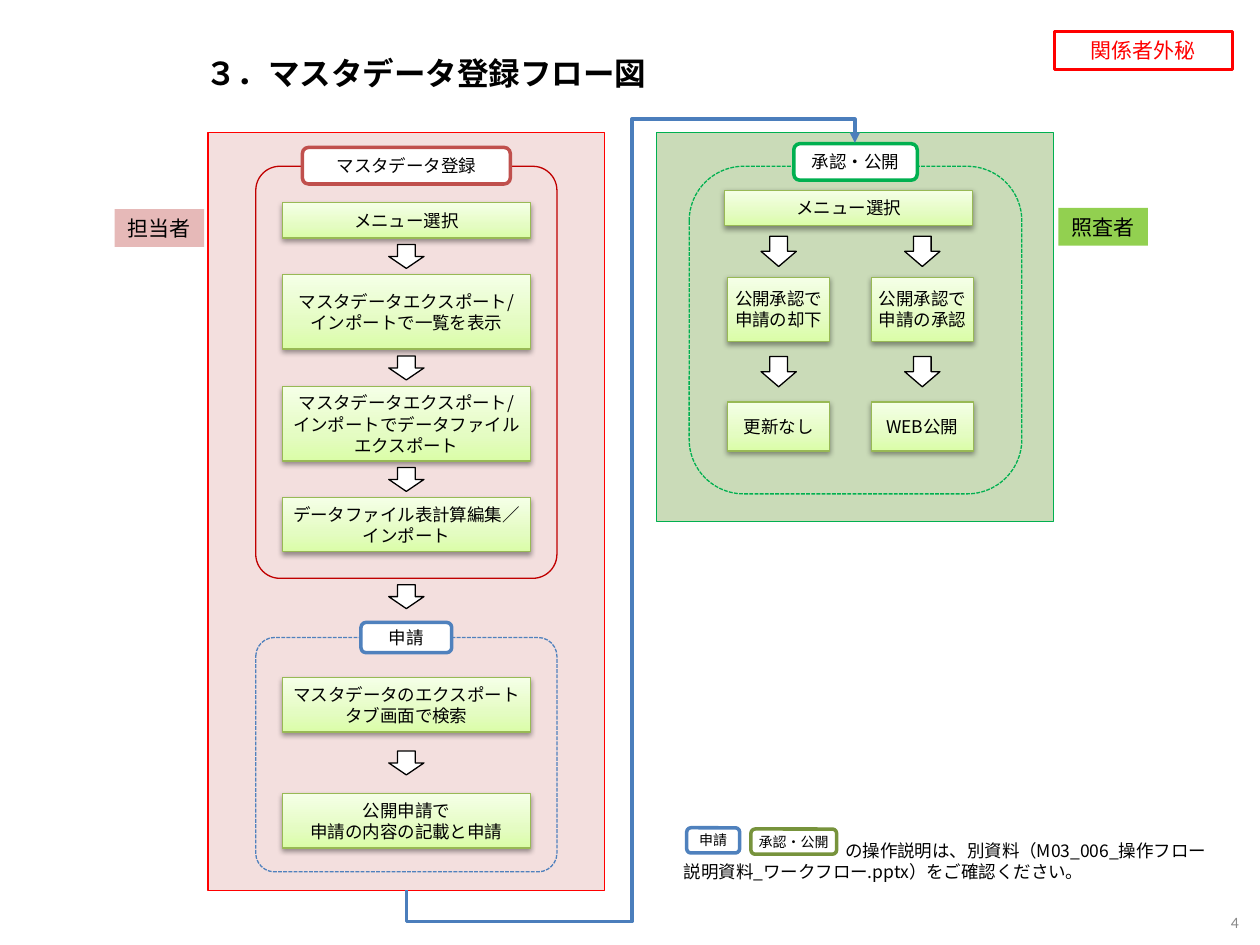
from collections import namedtuple
from itertools import pairwise

from lxml.etree import SubElement
from pptx import Presentation
from pptx.dml.color import RGBColor
from pptx.enum.dml import MSO_LINE
from pptx.enum.shapes import MSO_CONNECTOR, MSO_SHAPE
from pptx.enum.text import MSO_ANCHOR, PP_ALIGN
from pptx.oxml.ns import qn
from pptx.util import Inches, Pt

COLUMNS, ROWS = 100, 75
CELL = Inches(10) / COLUMNS
JAPANESE = "Noto Sans CJK JP"
STEP_GRADIENT = ((0, "DAFDA7"), (35, "E4FCC2"), (100, "F5FFE7"))

# Boxes are in grid cells: left, top, width, height
Box = namedtuple("Box", "left top width height")


def inside(box, left, top, width, height):
    return Box(box.left + left, box.top + top, width, height)


def centred(middle, top, width, height):
    return Box(middle - width / 2, top, width, height)


def emu(box):
    return [round(value * CELL) for value in box]


def colour(value):
    return RGBColor.from_string(value)


def add_xml(parent, tag, **attributes):
    element = SubElement(parent, qn(tag))
    for key, value in attributes.items():
        element.set(key, str(value))
    return element


def add_span(para, text, size, ink="000000", font=JAPANESE, bold=False):
    span = para.add_run()
    span.text = text
    span.font.size = Pt(size)
    span.font.bold = bold
    span.font.color.rgb = colour(ink)
    span.font.name = font
    add_xml(span.font._element, "a:ea", typeface=font)


def write(shape, paragraphs, size, align=PP_ALIGN.CENTER, anchor=MSO_ANCHOR.MIDDLE,
          wrap=True, **style):
    frame = shape.text_frame
    frame.word_wrap = wrap
    frame.vertical_anchor = anchor
    for index, text in enumerate(paragraphs):
        para = frame.add_paragraph() if index else frame.paragraphs[0]
        para.alignment = align
        for row, line in enumerate(text.split("\n")):
            if row:
                para.add_line_break()
            add_span(para, line, size, **style)
    return frame


def add_shape(page, kind, box, fill=None, line=None, weight=0.75, alpha=None,
              dashed=False, corner=None):
    shape = page.shapes.add_shape(kind, *emu(box))
    shape.shadow.inherit = False
    if fill:
        shape.fill.solid()
        shape.fill.fore_color.rgb = colour(fill)
        if alpha:
            tint = shape._element.spPr.find(".//" + qn("a:srgbClr"))
            add_xml(tint, "a:alpha", val=alpha * 1000)
    else:
        shape.fill.background()
    if line:
        shape.line.color.rgb = colour(line)
        shape.line.width = Pt(weight)
        if dashed:
            shape.line.dash_style = MSO_LINE.SQUARE_DOT
    else:
        shape.line.fill.background()
    if corner:
        shape.adjustments[0] = corner
    return shape


def add_step(page, box, paragraphs):
    shape = add_shape(page, MSO_SHAPE.RECTANGLE, box, line="98B955")
    shape.fill.gradient()
    shape.fill.gradient_angle = 90
    properties = shape._element.spPr
    stops = properties.find(".//" + qn("a:gsLst"))
    stops.clear()
    for position, value in STEP_GRADIENT:
        add_xml(add_xml(stops, "a:gs", pos=position * 1000), "a:srgbClr", val=value)
    shadow = add_xml(properties.find(qn("a:effectLst")), "a:outerShdw",
                     blurRad=Pt(3.1), dist=Pt(1.6), dir=90 * 60000, rotWithShape=0)
    add_xml(add_xml(shadow, "a:srgbClr", val="000000"), "a:alpha", val=38000)
    frame = write(shape, paragraphs, 10)
    frame.margin_left = frame.margin_right = 0


def add_label(page, box, text, line, size=10):
    shape = add_shape(page, MSO_SHAPE.ROUNDED_RECTANGLE, box, "FFFFFF", line, 2)
    frame = write(shape, [text], size)
    frame.margin_left = frame.margin_right = 0


def add_arrow(page, middle, top, height):
    add_shape(page, MSO_SHAPE.DOWN_ARROW, centred(middle, top, 2.8, height),
              "FFFFFF", "000000")


def add_flow(page, middle, width, steps, arrow_height):
    """Stack steps on one axis, with an arrow centred in each gap."""
    for top, height, paragraphs in steps:
        if paragraphs:
            add_step(page, centred(middle, top, width, height), paragraphs)
    for (top, height, _), (following, _, _) in pairwise(steps):
        bottom = top + height
        add_arrow(page, middle, (bottom + following - arrow_height) / 2, arrow_height)


def add_header(page, box):
    title = page.shapes.add_textbox(*emu(inside(box, 15.3, 3.1, 78.1, 5.4)))
    write(title, ["３．マスタデータ登録フロー図"], 18, PP_ALIGN.LEFT, bold=True)
    stamp = add_shape(page, MSO_SHAPE.RECTANGLE, inside(box, 83.7, 2.5, 14.1, 3),
                      line="FF0000", weight=1.5)
    write(stamp, ["関係者外秘"], 12, ink="FF0000")


def add_role(page, box, text, fill):
    write(add_shape(page, MSO_SHAPE.RECTANGLE, box, fill), [text], 12, wrap=False)


def add_registrant_panel(page, box):
    add_shape(page, MSO_SHAPE.RECTANGLE, box, "C0504D", "FF0000", alpha=18)
    add_role(page, inside(box, -7.4, 6.1, 7.1, 3), "担当者", "E6B9B8")
    middle = box.left + box.width / 2
    # Registration
    add_shape(page, MSO_SHAPE.ROUNDED_RECTANGLE, inside(box, 3.8, 2.7, 23.9, 32.7),
              line="C00000", corner=0.08)
    add_label(page, centred(middle, box.top + 1.2, 16.5, 2.9), "マスタデータ登録", "C0504D")
    add_flow(page, middle, 19.7, [
        (box.top + 5.6, 2.8, ["メニュー選択"]),
        (box.top + 11.3, 5.9, ["マスタデータエクスポート/", "インポートで一覧を表示"]),
        (box.top + 20.2, 5.9, ["マスタデータエクスポート/",
                               "インポートでデータファイル\nエクスポート"]),
        (box.top + 29, 4.3, ["データファイル表計算編集／\nインポート"]),
    ], 1.9)
    add_arrow(page, middle, box.top + 35.9, 1.9)
    # Application
    add_shape(page, MSO_SHAPE.ROUNDED_RECTANGLE, inside(box, 3.8, 40.1, 23.9, 18.6),
              line="4F81BD", dashed=True, corner=0.08)
    add_label(page, centred(middle, box.top + 38.9, 7.2, 2.4), "申請", "4F81BD")
    add_flow(page, middle, 19.7, [
        (box.top + 43.3, 4.3, ["マスタデータのエクスポート", "タブ画面で検索"]),
        (box.top + 52.5, 4.3, ["公開申請で", "申請の内容の記載と申請"]),
    ], 1.9)


def add_reviewer_panel(page, box):
    add_shape(page, MSO_SHAPE.RECTANGLE, box, "6D9C3C", "00B050", alpha=36)
    add_role(page, inside(box, 31.9, 6, 7.1, 3), "照査者", "92D050")
    add_shape(page, MSO_SHAPE.ROUNDED_RECTANGLE, inside(box, 2.6, 2.7, 26.4, 26),
              line="00B050", dashed=True)
    add_label(page, inside(box, 10.9, 0.9, 9.8, 2.9), "承認・公開", "00B050")
    # Menu, then one branch for each outcome
    menu = inside(box, 5.4, 4.6, 19.7, 2.8)
    add_step(page, menu, ["メニュー選択"])
    branches = ((9.7, "申請の却下", "更新なし"), (21.1, "申請の承認", "WEB公開"))
    for offset, decision, result in branches:
        add_flow(page, box.left + offset, 8.1, [
            (menu.top, menu.height, None),
            (box.top + 11.5, 5.1, ["公開承認で", decision]),
            (box.top + 21.4, 3.9, [result]),
        ], 2.4)


def add_handover(page, box):
    """Five-part elbow from the first panel's foot to the reviewer's label."""
    connector = page.shapes.add_connector(MSO_CONNECTOR.ELBOW, 0, 0, 0, 0)
    connector.left, connector.top, connector.width, connector.height = emu(box)
    connector.line.color.rgb = colour("4B7EBC")
    connector.line.width = Pt(2)
    properties = connector._element.spPr
    turn = properties.find(qn("a:xfrm"))
    for key, value in (("rot", 90 * 60000), ("flipH", 1), ("flipV", 1)):
        turn.set(key, str(value))
    geometry = properties.find(qn("a:prstGeom"))
    geometry.set("prst", "bentConnector5")
    guides = geometry.find(qn("a:avLst"))
    for number, value in enumerate((-4200, 50300, 103200), 1):
        add_xml(guides, "a:gd", name=f"adj{number}", fmla=f"val {value}")
    add_xml(properties.find(qn("a:ln")), "a:tailEnd", type="triangle")
    add_xml(properties, "a:effectLst")


def add_note(page, box):
    note = page.shapes.add_textbox(*emu(box))
    frame = write(note, ["の操作説明は、別資料（M03_006_操作フロー",
                         "説明資料_ワークフロー.pptx）をご確認ください。"],
                  10, PP_ALIGN.LEFT, MSO_ANCHOR.TOP)
    # The first line starts after the two labels
    frame.paragraphs[0]._p.get_or_add_pPr().set("indent", str(Inches(1.28)))
    add_label(page, inside(box, 1.2, -0.5, 4.2, 2), "申請", "4F81BD", 8)
    add_label(page, inside(box, 6.3, -0.4, 6.8, 2), "承認・公開", "77933C", 8)


def add_page_number(page, box):
    number = page.shapes.add_textbox(*emu(box))
    write(number, ["4"], 9, PP_ALIGN.RIGHT, ink="898989", font="Calibri")


def main():
    deck = Presentation()
    deck.slide_width, deck.slide_height = round(COLUMNS * CELL), round(ROWS * CELL)
    page = deck.slides.add_slide(deck.slide_layouts[6])
    add_header(page, Box(0, 0, COLUMNS, 10))
    add_reviewer_panel(page, Box(52.1, 10.5, 31.5, 30.9))
    add_registrant_panel(page, Box(16.5, 10.5, 31.5, 60.2))
    add_handover(page, Box(20.4, 23.2, 59.3, 35.6))
    add_note(page, Box(53.3, 66.2, 45.2, 5.6))
    add_page_number(page, Box(91.7, 71.6, 7.6, 3.2))
    deck.save("out.pptx")


if __name__ == "__main__":
    main()
